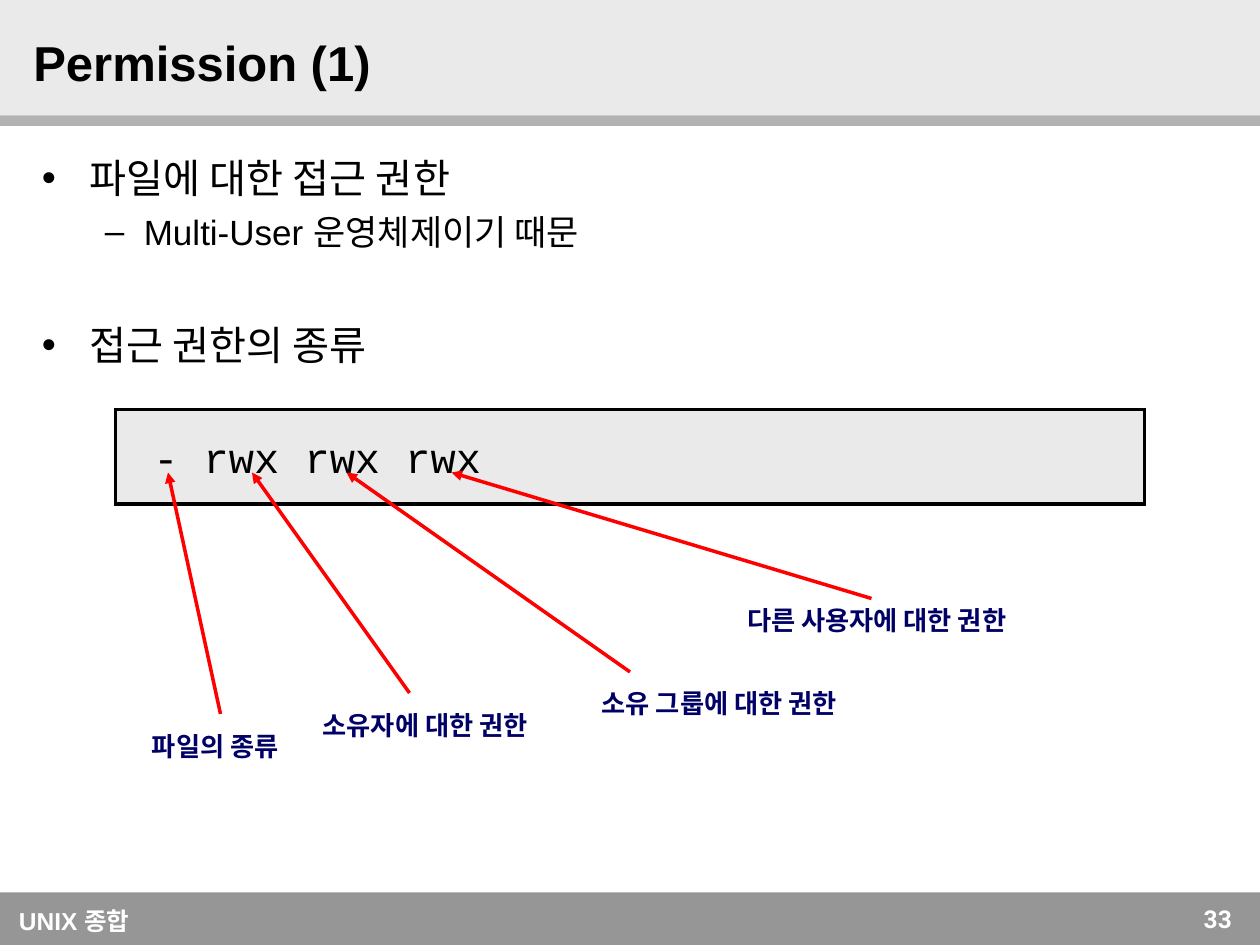
from dataclasses import dataclass
from typing import Any, NamedTuple

from pptx import Presentation
from pptx import util as u
from pptx.dml.color import RGBColor
from pptx.enum import shapes, text
from pptx.oxml.ns import qn
from lxml import etree

COLS, ROWS = 120, 90
CELL = u.Inches(10) // COLS


@dataclass(frozen=True)
class Theme:
    black: str = "000000"
    white: str = "FFFFFF"
    pale: str = "EAEAEA"
    strip: str = "B2B2B2"
    footer: str = "969696"
    arrow: str = "FF0000"
    label: str = "000066"
    title_pt: float = 28
    code_pt: float = 24
    body_pt: float = 23
    sub_pt: float = 20
    label_pt: float = 15
    footer_pt: float = 14
    line_pt: float = 2


class Area(NamedTuple):
    col: float
    row: float
    cols: float
    rows: float


class Style(NamedTuple):
    name: str
    size: float
    color: str
    bold: bool = False


class Bullet(NamedTuple):
    text: str
    level: int
    mark: str
    style: Style
    margin: float
    hang: float
    before: float


class Callout(NamedTuple):
    text: str
    label: tuple[float, float]
    start: tuple[float, float]
    tip_col: float


T = Theme()
TITLE = Style("Arial", T.title_pt, T.black, True)
FOOTER = Style("Arial", T.footer_pt, T.white, True)
NUMBER = Style("Roboto", T.footer_pt, T.white, True)
BODY = Style("Roboto", T.body_pt, T.black)
SUB = Style("Arial", T.sub_pt, T.black)
CODE = Style("Courier New", T.code_pt, T.black)
LABEL = Style("Times New Roman", T.label_pt, T.label, True)

TIP_ROW = 45
BANDS = [
    (Area(0, 85, COLS, 5), T.footer),
    (Area(0, 0, COLS, 11), T.pale),
    (Area(0, 11, COLS, 1), T.strip),
]
BULLETS = [
    Bullet("파일에 대한 접근 권한", 0, "•", BODY, 0.38, 0.38, 0),
    Bullet("Multi-User 운영체제이기 때문", 1, "–", SUB, 0.81, 0.31, 5),
    Bullet("접근 권한의 종류", 0, "•", BODY, 0.38, 0.38, 39),
]
CALLOUTS = [
    Callout("파일의 종류", (7, 69), (21, 68), 16),
    Callout("소유자에 대한 권한", (27, 67), (39, 66), 24),
    Callout("소유 그룹에 대한 권한", (55, 65), (60, 64), 33),
    Callout("다른 사용자에 대한 권한", (70, 57), (83, 57), 43),
]


def cells(*values: float) -> list[int]:
    return [round(v * CELL) for v in values]


def apply(target: Any, formats: dict[str, Any]) -> None:
    for name, value in formats.items():
        setattr(target, name, value)


def write(p: Any, words: str, style: Style) -> None:
    r = p.add_run()
    r.text = words
    apply(r.font, {"name": style.name, "size": u.Pt(style.size), "bold": style.bold})
    r.font.color.rgb = RGBColor.from_string(style.color)


def add_rect(s: Any, area: Area, fill: str) -> Any:
    sp = s.shapes.add_shape(shapes.MSO_SHAPE.RECTANGLE, *cells(*area))
    sp.shadow.inherit = False
    sp.fill.solid()
    sp.fill.fore_color.rgb = RGBColor.from_string(fill)
    sp.line.fill.background()
    return sp


def add_text(s: Any, area: Area, words: str, style: Style, side: float = 0.1,
             align: Any = text.PP_ALIGN.LEFT, anchor: Any = text.MSO_ANCHOR.TOP) -> None:
    tf = s.shapes.add_textbox(*cells(*area)).text_frame
    apply(tf, {"word_wrap": True, "vertical_anchor": anchor,
               "margin_left": u.Inches(side), "margin_right": u.Inches(side)})
    p = tf.paragraphs[0]
    p.alignment = align
    write(p, words, style)


def add_bullets(s: Any, area: Area, bullets: list[Bullet]) -> None:
    tf = s.shapes.add_textbox(*cells(*area)).text_frame
    tf.word_wrap = True
    for i, b in enumerate(bullets):
        p = tf.add_paragraph() if i else tf.paragraphs[0]
        apply(p, {"level": b.level, "space_before": u.Pt(b.before)})
        ppr = p._p.get_or_add_pPr()
        ppr.set("marL", str(u.Inches(b.margin)))
        ppr.set("indent", str(-u.Inches(b.hang)))
        etree.SubElement(ppr, qn("a:buFont"), typeface="Arial")
        etree.SubElement(ppr, qn("a:buChar"), char=b.mark)
        write(p, b.text, b.style)


def add_code(s: Any, area: Area, words: str) -> None:
    sp = add_rect(s, area, T.pale)
    sp.line.color.rgb = RGBColor.from_string(T.black)
    sp.line.width = u.Pt(T.line_pt)
    etree.SubElement(sp.line._get_or_add_ln(), qn("a:miter"), lim="800000")
    tf = sp.text_frame
    apply(tf, {"margin_left": u.Inches(0.3), "vertical_anchor": text.MSO_ANCHOR.MIDDLE})
    tf.paragraphs[0].alignment = text.PP_ALIGN.LEFT
    write(tf.paragraphs[0], words, CODE)


def add_callout(s: Any, c: Callout) -> None:
    arrow = s.shapes.add_connector(
        shapes.MSO_CONNECTOR.STRAIGHT, *cells(*c.start, c.tip_col, TIP_ROW))
    arrow.line.color.rgb = RGBColor.from_string(T.arrow)
    arrow.line.width = u.Pt(T.line_pt)
    etree.SubElement(arrow.line._get_or_add_ln(), qn("a:tailEnd"), type="triangle")
    etree.SubElement(arrow._element.spPr, qn("a:effectLst"))
    add_text(s, Area(*c.label, 27, 4), c.text, LABEL, 0,
             text.PP_ALIGN.CENTER, text.MSO_ANCHOR.MIDDLE)


def main() -> None:
    prs = Presentation()
    apply(prs, {"slide_width": COLS * CELL, "slide_height": ROWS * CELL})
    s = prs.slides.add_slide(prs.slide_layouts[6])
    for area, fill in BANDS:
        add_rect(s, area, fill)
    add_text(s, Area(1.8, 85.7, 14, 4), "UNIX 종합", FOOTER, 0)
    add_text(s, Area(91.5, 85.5, 27, 4), "33", NUMBER, align=text.PP_ALIGN.RIGHT)
    add_text(s, Area(2, 2.4, 116, 7), "Permission (1)", TITLE,
             anchor=text.MSO_ANCHOR.MIDDLE)
    add_bullets(s, Area(2.8, 14, 115, 68), BULLETS)
    add_code(s, Area(11, 39, 98, 9), "- rwx rwx rwx")
    for c in CALLOUTS:
        add_callout(s, c)
    prs.save("out.pptx")


if __name__ == "__main__":
    main()
